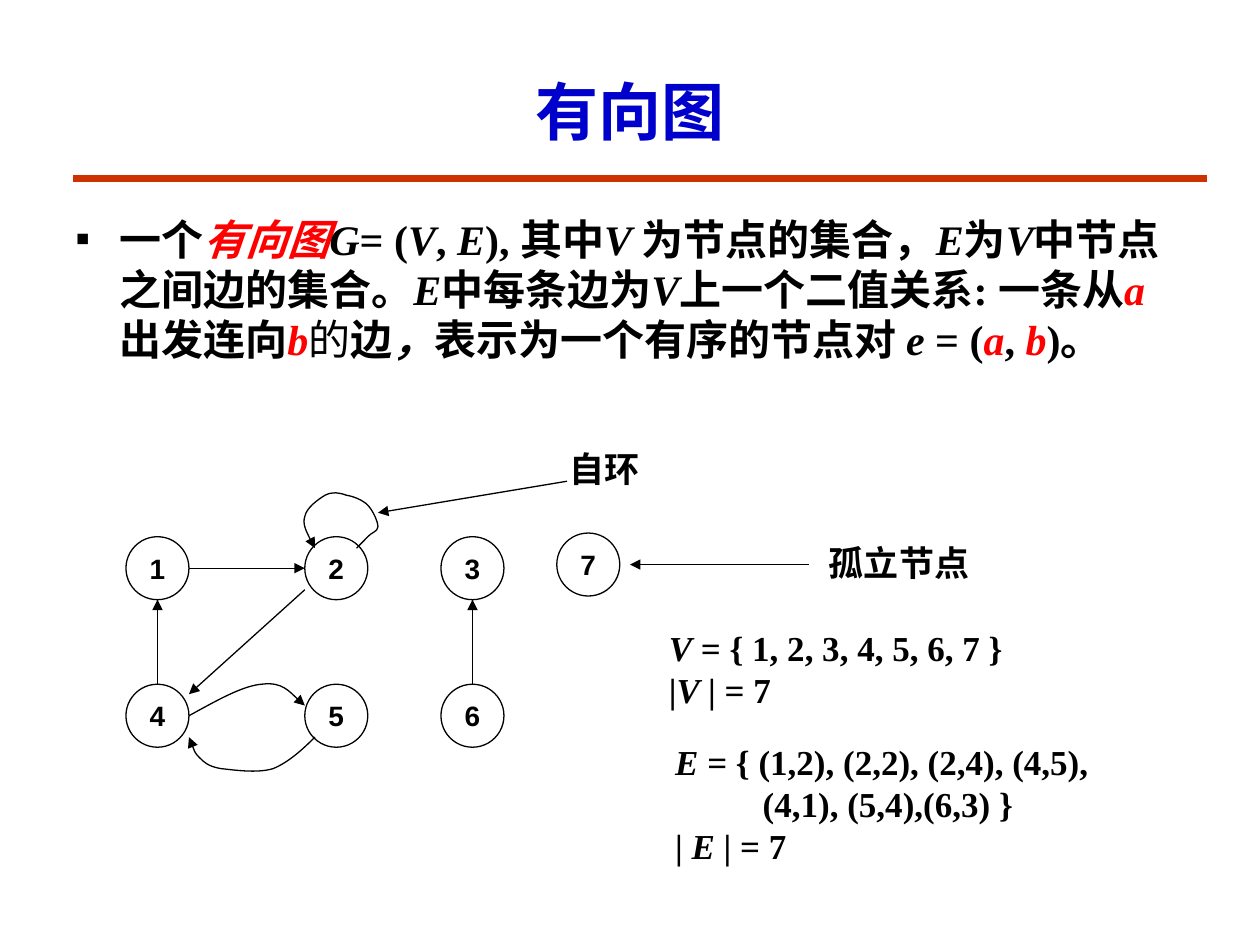
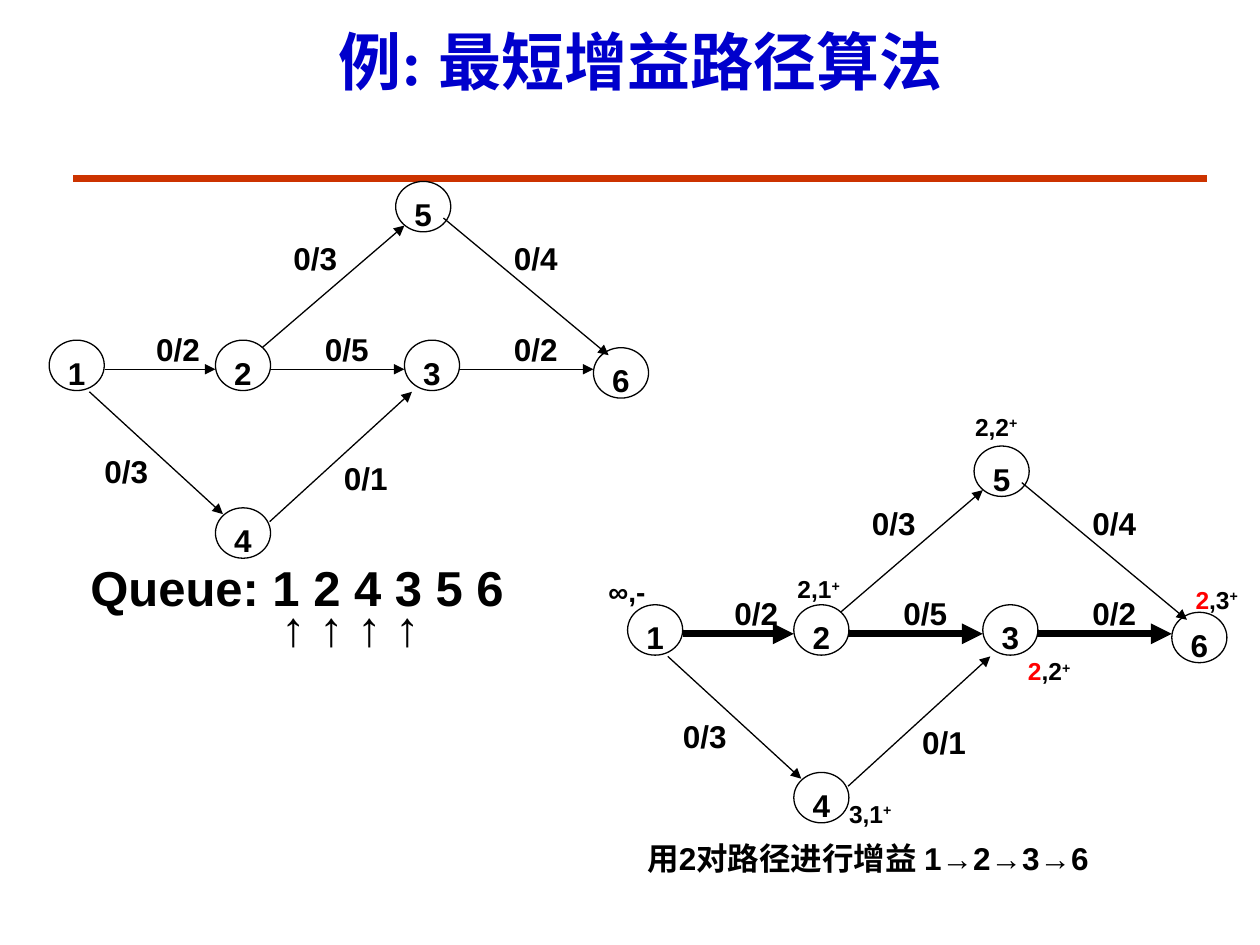
from lxml import etree
from pptx import Presentation
from pptx.dml.color import RGBColor
from pptx.enum.shapes import MSO_CONNECTOR as Connector, MSO_SHAPE as Shape
from pptx.enum.text import MSO_ANCHOR as Anchor, MSO_AUTO_SIZE as Fit, PP_ALIGN as Align
from pptx.oxml.ns import qn
from pptx.util import Pt

SERIF, SANS = "Times New Roman", "Arial"
BLACK, RED, BLUE, RUST = "000000", "FF0000", "0000CC", "CC3300"
THIN, THICK = 0.75, 4


def color(hex_code):
    return RGBColor.from_string(hex_code)


# Text

def write(para, spans, size, face, ink=BLACK):
    """Spans are (text, marks): i italic, r red, n not bold, s superscript."""
    if isinstance(spans, str):
        spans = [(spans, "")]
    for text, marks in spans:
        span = para.add_run()
        span.text = text
        font = span.font
        font.name, font.size = face, Pt(size)
        font.bold, font.italic = "n" not in marks, "i" in marks
        font.color.rgb = color(RED if "r" in marks else ink)
        if "s" in marks:
            font._element.set("baseline", "30000")


def indent(para, left, hanging=0):
    props = para._p.get_or_add_pPr()
    props.set("marL", str(Pt(left)))
    props.set("indent", str(-Pt(hanging)))
    return props


def add_text(page, at, paragraphs, size, face=SANS, wrap=False):
    box = page.shapes.add_textbox(*map(Pt, at))
    frame = box.text_frame
    frame.word_wrap = wrap
    frame.auto_size = Fit.SHAPE_TO_FIT_TEXT
    for number, spans in enumerate(paragraphs):
        para = frame.add_paragraph() if number else frame.paragraphs[0]
        write(para, spans, size, face)
    return frame


def set_title(page, text, at):
    title = page.shapes.title
    title.left, title.top, title.width, title.height = map(Pt, at)
    frame = title.text_frame
    frame.auto_size, frame.vertical_anchor = Fit.NONE, Anchor.MIDDLE
    para = frame.paragraphs[0]
    para.alignment = Align.CENTER
    write(para, text, 36, SERIF, BLUE)


# Lines and nodes

def style_line(shape, width=THIN, ink=BLACK, arrow=True):
    shape.line.width = Pt(width)
    shape.line.color.rgb = color(ink)
    if arrow:
        outline = shape.line._get_or_add_ln()
        etree.SubElement(outline, qn("a:tailEnd"), type="triangle")


def add_line(page, start, end, width=THIN, ink=BLACK, arrow=True):
    line = page.shapes.add_connector(Connector.STRAIGHT, *map(Pt, start + end))
    style_line(line, width, ink, arrow)
    etree.SubElement(line._element.spPr, qn("a:effectLst"))
    return line


def add_curve(page, points):
    """Start point, then two control points and an end point for each bend."""
    points = [(Pt(x), Pt(y)) for x, y in points]
    builder = page.shapes.build_freeform(*points[0])
    builder.add_line_segments(points[1:], close=False)
    curve = builder.convert_to_shape()
    steps = list(curve._element.iter(qn("a:lnTo")))
    for first in range(0, len(steps), 3):
        bend = etree.Element(qn("a:cubicBezTo"))
        steps[first].addprevious(bend)
        for step in steps[first:first + 3]:
            bend.append(step[0])
            step.getparent().remove(step)
    curve.fill.background()
    curve.shadow.inherit = False
    style_line(curve)


def add_node(page, name, at, size, text_size, drop=0):
    node = page.shapes.add_shape(Shape.OVAL, *map(Pt, at + size))
    node.fill.background()
    node.shadow.inherit = False
    style_line(node, arrow=False)
    frame = node.text_frame
    frame.word_wrap = False
    frame.margin_left = frame.margin_right = frame.margin_bottom = 0
    frame.margin_top = Pt(drop)
    frame.vertical_anchor = Anchor.TOP if drop else Anchor.MIDDLE
    frame.paragraphs[0].alignment = Align.CENTER
    write(frame.paragraphs[0], name, text_size, SANS)


# Slide 1: directed graph

DEFINITION = [
    ("一个", ""), ("有向图", "ir"), ("G", "i"), ("= (", ""), ("V", "i"), (", ", ""),
    ("E", "i"), ("), 其中", ""), ("V ", "i"), ("为节点的集合，", ""), ("E", "i"),
    ("为", ""), ("V", "i"), ("中节点之间边的集合。", ""), ("E", "i"),
    ("中每条边为", ""), ("V", "i"), ("上一个二值关系: 一条从", ""), ("a", "ir"),
    ("出发连向", ""), ("b", "ir"), ("的", "n"), ("边", ""), ("，", "i"),
    ("表示为一个有序的节点对 ", ""), ("e", "i"), (" = (", ""), ("a", "ir"),
    (", ", ""), ("b", "ir"), (")。", ""),
]
GRAPH_NODES = {
    "1": (72, 306.7), "2": (174.2, 306.7), "3": (252, 306.7), "7": (318.2, 304.6),
    "4": (72, 391), "5": (174.2, 391), "6": (252, 391),
}
GRAPH_ARROWS = [
    ((90, 391), (90, 342.7)), ((108, 324.7), (174.2, 324.7)),
    ((174.2, 337), (108, 396.7)), ((270, 391), (270, 342.7)),
    ((324, 275), (216, 293)), ((462.2, 322.6), (360, 322.6)),
]
SELF_LOOP = [
    (203.8, 313.2), (205.2, 311.8), (208.1, 308.9), (210.2, 306.7),
    (211.7, 304.6), (216, 303.8), (216, 301), (216, 298.1), (213.1, 291.6),
    (210.2, 288.7), (207.4, 285.8), (202.3, 283.7), (198, 283), (193.7, 281.5),
    (190.1, 280.8), (185.8, 283), (182.2, 285.1), (175, 290.2), (174.2, 295.2),
    (172.8, 299.5), (176.4, 306.7), (180, 313.2),
]
FOUR_TO_FIVE = [
    (108, 409), (123.8, 400.3), (139, 391.7), (149.8, 391),
    (161.3, 389.5), (169.9, 399.6), (174.2, 403.2),
]
FIVE_TO_FOUR = [
    (180, 421.2), (172.8, 428.4), (164.9, 435.6), (156.2, 439.2),
    (146.9, 442.1), (133.2, 439.9), (126, 439.2), (118.8, 437.8),
    (116.6, 435.6), (113.8, 432.7), (110.9, 429.8), (108.7, 422.6), (108, 421.2),
]


def build_directed_graph(page):
    set_title(page, "有向图", (54, 30, 612, 66))

    # Definition
    frame = add_text(page, (36, 90, 648, 150), [DEFINITION], 24, SERIF, wrap=True)
    frame.auto_size, frame.vertical_anchor = Fit.NONE, Anchor.MIDDLE
    props = indent(frame.paragraphs[0], 25.2, 25.2)
    etree.SubElement(props, qn("a:buFont"), typeface=SANS)
    etree.SubElement(props, qn("a:buChar"), char="▪")

    # Graph
    for name, at in GRAPH_NODES.items():
        add_node(page, name, at, (36, 36), 16)
    for start, end in GRAPH_ARROWS:
        add_line(page, start, end)
    for points in (SELF_LOOP, FOUR_TO_FIVE, FIVE_TO_FOUR):
        add_curve(page, points)

    # Callouts and sets
    add_text(page, (318.2, 252, 55.4, 31.7), ["自环"], 20, SERIF)
    add_text(page, (466.6, 306, 95.8, 31.7), ["孤立节点"], 20, SERIF)
    add_text(page, (375.1, 354.2, 206.6, 55.4), [
        [("V", "i"), (" = { 1, 2, 3, 4, 5, 6, 7 }", "")],
        [("|", ""), ("V ", "i"), ("| = 7", "")],
    ], 20, SERIF)
    edges = add_text(page, (378.7, 419.8, 257.8, 79.9), [
        [("E", "i"), (" = { (1,2), (2,2), (2,4), (4,5),", "")],
        "(4,1), (5,4),(6,3) }",
        [("| ", ""), ("E", "i"), (" | = 7", "")],
    ], 20, SERIF)
    indent(edges.paragraphs[1], 50)


# Slide 2: shortest augmenting path

FLOW_NODES = {
    "1": (28.1, 194.4), "2": (123.1, 194.4), "3": (231.1, 194.4),
    "4": (123.1, 290.2), "5": (226.1, 103.7), "6": (339.1, 198.7),
}
# Start, end, flow/capacity, label corner, whether on the augmenting path
FLOW_EDGES = [
    ((59.8, 211), (123.1, 211), "0/2", (82.1, 185), True),
    ((154.1, 211), (231.1, 211), "0/5", (178.6, 185), True),
    ((262.1, 211), (339.1, 211), "0/2", (286.6, 185), True),
    ((51.1, 223.9), (127.4, 293.8), "0/3", (52.6, 254.9), False),
    ((154.1, 298.1), (235.4, 223.9), "0/1", (189.4, 258.5), False),
    ((149.8, 198.7), (231.1, 128.9), "0/3", (160.6, 133.2), False),
    ((253.4, 124.6), (347.8, 203), "0/4", (286.6, 133.2), False),
]
NODE_LABELS = [
    ((448.6, 324.7), "2,1", ""), ((550.1, 231.8), "2,2", ""),
    ((676.1, 330.5), "2", ",3"), ((580.3, 371.5), "2", ",2"),
    ((478.1, 452.9), "3,1", ""),
]


def add_network(page, dx=0, dy=0, path_width=THIN):
    def move(point):
        return point[0] + dx, point[1] + dy

    for name, at in FLOW_NODES.items():
        add_node(page, name, move(at), (31.5, 28.8), 18, drop=3.6)
    for start, end, flow, corner, on_path in FLOW_EDGES:
        add_line(page, move(start), move(end), path_width if on_path else THIN)
        add_text(page, move(corner) + (39.6, 28.8), [flow], 18)


def build_augmenting_path(page):
    set_title(page, "例: 最短增益路径算法", (30, 12, 672, 45))

    # Queue with its pointers
    queue = add_text(page, (44.6, 329, 255, 46),
                     ["Queue: 1 2 4 3 5 6", "↑ ↑ ↑ ↑"], 28, wrap=True)
    queue.margin_top = 0
    indent(queue.paragraphs[1], 109)
    for para in queue.paragraphs:
        para.line_spacing = Pt(23)

    # Network before and after labelling
    add_network(page)
    add_network(page, 330.5, 151.2, THICK)
    add_text(page, (340.6, 324.7, 36, 26.6), ["∞,-"], 16, wrap=True)
    for corner, flow, source in NODE_LABELS:
        spans = [(flow, "r" if source else ""), (source, ""), ("+", "s")]
        add_text(page, corner + (41.8, 23.8), [[s for s in spans if s[0]]], 14, wrap=True)
    add_text(page, (362.9, 475.9, 329.8, 28.8), ["用2对路径进行增益 1→2→3→6"], 18, wrap=True)


def main():
    deck = Presentation()
    deck.slide_width, deck.slide_height = Pt(720), Pt(540)
    layout = deck.slide_layouts[5]
    graph_page, path_page = (deck.slides.add_slide(layout) for _ in range(2))

    # The rule under the titles belongs to the shared layout
    rule = add_line(graph_page, (42, 102), (690, 102), 4.5, RUST, arrow=False)
    layout.shapes._spTree.append(rule._element)

    build_directed_graph(graph_page)
    build_augmenting_path(path_page)
    deck.save("out.pptx")


if __name__ == "__main__":
    main()
